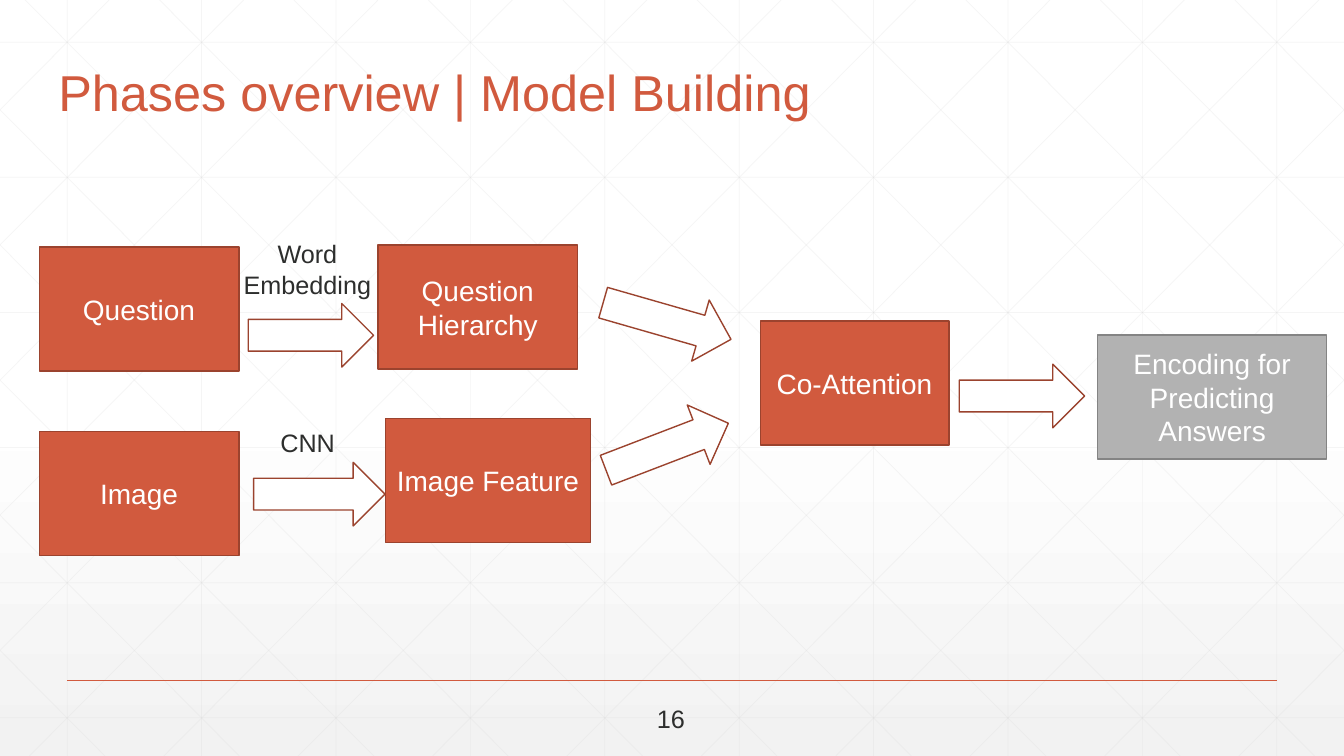
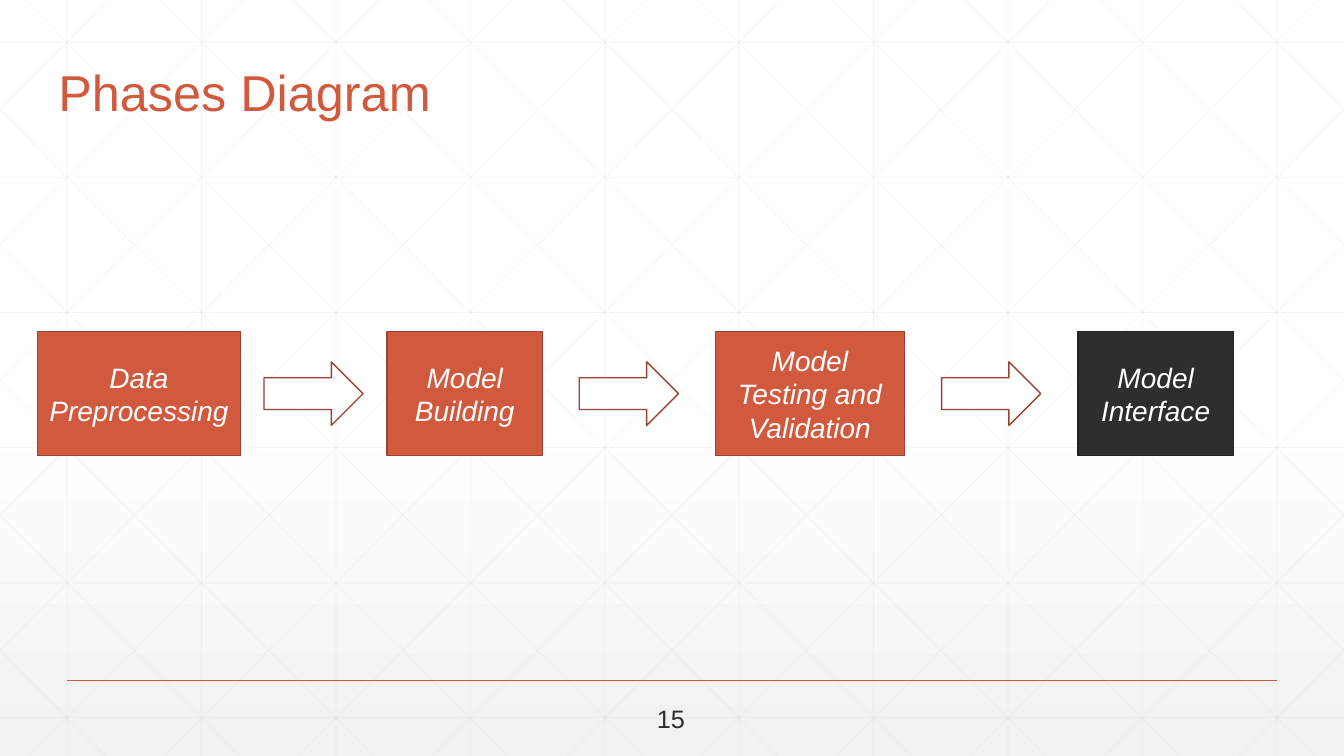
from pptx import Presentation
from pptx.dml.color import RGBColor
from pptx.enum.shapes import MSO_CONNECTOR, MSO_SHAPE
from pptx.enum.text import MSO_ANCHOR, PP_ALIGN
from pptx.oxml.ns import qn
from pptx.util import Pt
from lxml.etree import SubElement as Sub

RUST = RGBColor(0xD1, 0x5A, 0x3E)
BROWN = RGBColor(0x9B, 0x43, 0x2E)
WHITE = RGBColor(0xFF, 0xFF, 0xFF)
PALE = RGBColor(0xF2, 0xF2, 0xF2)
MESH = RGBColor(0xD9, 0xD9, 0xD9)
GRAY = RGBColor(0xB2, 0xB2, 0xB2)
SLATE = RGBColor(0x84, 0x84, 0x84)
DARK = RGBColor(0x2D, 0x2E, 0x2D)
BLACK = RGBColor(0x21, 0x22, 0x21)

WIDE, HIGH = 960, 540
STEP = 96
BOX_H, ARROW_H = 88.6, 45.4


def add_block(page, kind, place, fill=WHITE, edge=BROWN):
    block = page.shapes.add_shape(kind, *[Pt(n) for n in place])
    block.shadow.inherit = False
    block.fill.solid()
    block.fill.fore_color.rgb = fill
    block.line.color.rgb = edge
    block.line.width = Pt(1)
    return block


def add_text(page, place, text, size, color, align, block=None, slant=None):
    """Write text in the given block, or in a new text box at place."""
    frame = (block or page.shapes.add_textbox(*[Pt(n) for n in place])).text_frame
    frame.word_wrap = True
    para = frame.paragraphs[0]
    para.text = text
    para.alignment = align
    font = para.runs[0].font
    font.name, font.size, font.italic = "Arial", Pt(size), slant
    font.color.rgb = color
    return frame


deck = Presentation()
deck.slide_width, deck.slide_height = Pt(WIDE), Pt(HIGH)
base = deck.slide_layouts[6]
for holder in list(base.placeholders):
    base.shapes.element.remove(holder.element)

# Shared background: white fading to pale grey
back = base.background.fill
back.gradient()
back.gradient_angle = 270
for stop, (spot, color) in zip(back.gradient_stops, [(0.53, WHITE), (1, PALE)]):
    stop.position = spot
    stop.color.rgb = color

# Shared mesh: upright, level and mirrored slanted lines, then the footer rule
lines = [(x, 0, x, HIGH) for x in range(48, WIDE, STEP)]
lines += [(0, 30.2 + 96.5 * i, WIDE, 30.2 + 96.5 * i) for i in range(6)]
RUN = 537
for x in range(18 - 5 * STEP, WIDE, STEP):
    left, right = max(x, 0), min(x + RUN, WIDE)
    top, low = (left - x) * HIGH / RUN, (right - x) * HIGH / RUN
    lines += [(left, top, right, low), (WIDE - left, top, WIDE - right, low)]
lines.append((48, 486, 912, 486))

first = deck.slides.add_slide(base)
for ends in lines:
    rule = first.shapes.add_connector(MSO_CONNECTOR.STRAIGHT, *[Pt(n) for n in ends])
    foot = ends == lines[-1]
    rule.line.width = Pt(1 if foot else 0.5)
    rule.line.color.rgb = RUST if foot else MESH
    if not foot:
        tint = rule.element.find(".//" + qn("a:srgbClr"))
        Sub(tint, qn("a:alpha"), val="25000")
    Sub(rule.element.spPr, qn("a:effectLst"))
    base.shapes.element.append(rule.element)  # moves the line to the layout

second = deck.slides.add_slide(base)

# Titles and page numbers
for page, title, count in [
    (first, "Phases overview | Model Building", "16"),
    (second, "Phases Diagram", "15"),
]:
    frame = add_text(page, (34.6, 38, 756, 53), title, 36, RUST, PP_ALIGN.LEFT)
    frame.vertical_anchor = MSO_ANCHOR.BOTTOM
    frame.paragraphs[0].line_spacing = 0.9
    frame = add_text(page, (462.2, 499, 34.6, 28.8), count, 18, DARK, PP_ALIGN.LEFT)
    frame.word_wrap = False

# Boxes: page, text, left, top, width, fill, edge
MID = 236.9
for page, text, x, y, w, fill, edge in [
    (first, "Question", 28, 176.4, 142.6, RUST, BROWN),
    (first, "Image", 28, 308.4, 142.6, RUST, BROWN),
    (first, "Question Hierarchy", 270, 175, 142.6, RUST, BROWN),
    (first, "Image Feature", 275.2, 298.8, 146.8, RUST, BROWN),
    (first, "Co-Attention", 543, 229.2, 134.8, RUST, BROWN),
    (first, "Encoding for Predicting Answers", 784, 239.3, 163.6, GRAY, SLATE),
    (second, "Data Preprocessing", 26.8, MID, 145, RUST, BROWN),
    (second, "Model Building", 276.5, MID, 111, RUST, BROWN),
    (second, "Model Testing and Validation", 511, MID, 135, RUST, BROWN),
    (second, "Model Interface", 770, MID, 111, DARK, BLACK),
]:
    place = (x, y, w, BOX_H)
    block = add_block(page, MSO_SHAPE.RECTANGLE, place, fill, edge)
    frame = add_text(page, place, text, 20, WHITE, PP_ALIGN.CENTER, block, page is second)
    frame.vertical_anchor = MSO_ANCHOR.MIDDLE

# Arrows: page, left, top, width, turn
for page, x, y, w, turn in [
    (first, 177.3, 216.8, 89.5, 0),
    (first, 181.2, 330.3, 93.8, 0),
    (first, 429, 206.6, 95, 16),
    (first, 429.8, 296.4, 93.6, 339),
    (first, 685.2, 260.2, 89.5, 0),
    (second, 188.6, 258.5, 70.8, 0),
    (second, 413.8, 258.5, 70.8, 0),
    (second, 672.6, 258.5, 70.8, 0),
]:
    arrow = add_block(page, MSO_SHAPE.RIGHT_ARROW, (x, y, w, ARROW_H))
    arrow.rotation = turn

# Arrow labels
for text, place in [
    ("Word Embedding", (154.8, 167, 129.6, 51)),
    ("CNN", (165.4, 302, 108.8, 28.8)),
]:
    add_text(first, place, text, 18, DARK, PP_ALIGN.CENTER)

deck.save("out.pptx")
